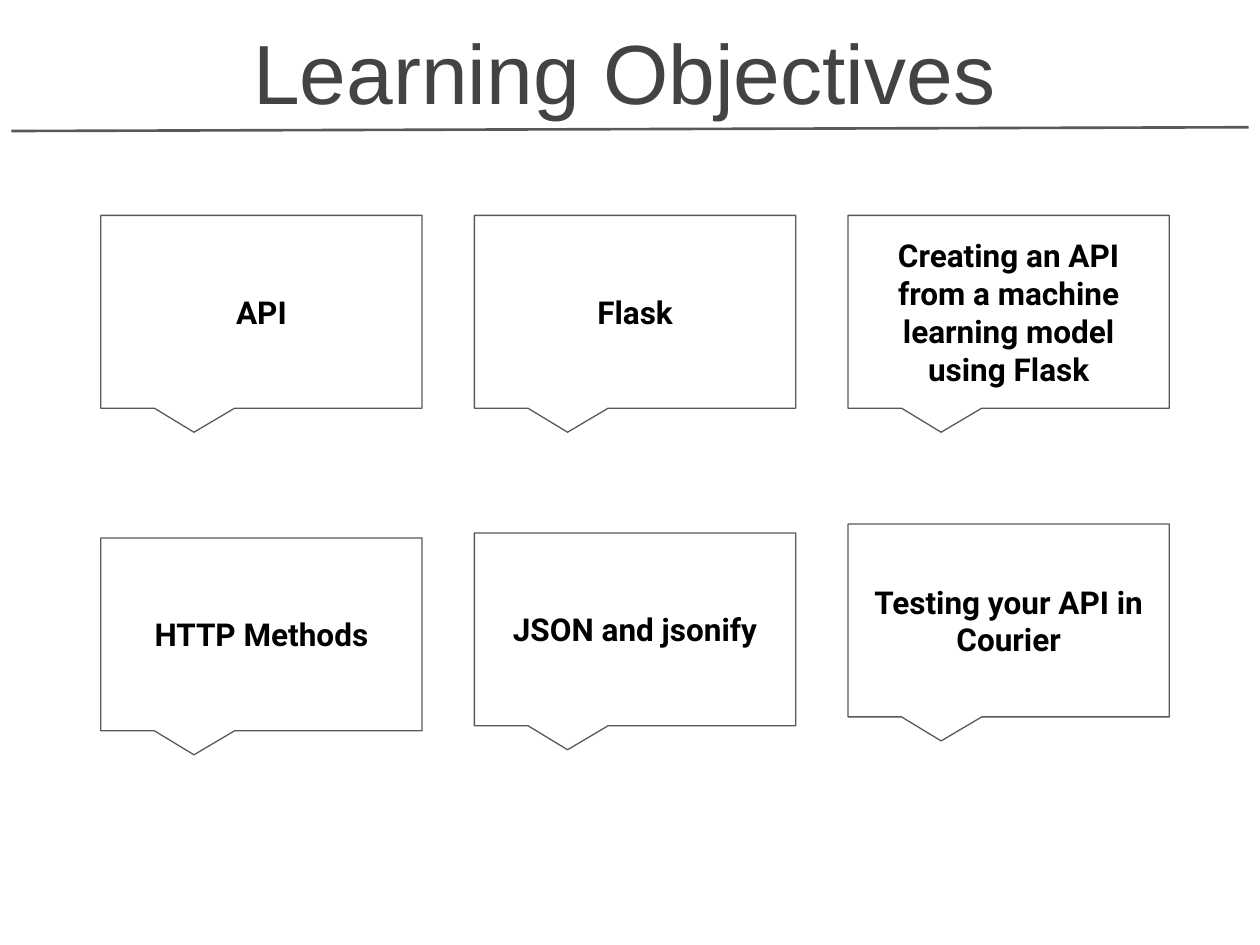
"""Build the Learning Objectives slide with six callouts."""
from lxml import etree
from pptx import Presentation
from pptx.dml.color import RGBColor
from pptx.enum.shapes import MSO_CONNECTOR, MSO_SHAPE
from pptx.enum.text import MSO_ANCHOR, MSO_AUTO_SIZE, PP_ALIGN
from pptx.oxml.ns import qn
from pptx.util import Inches, Pt

TITLE_GRAY = RGBColor(0x43, 0x43, 0x43)
LINE_GRAY = RGBColor(0x59, 0x59, 0x59)
BLACK = RGBColor(0, 0, 0)

LEFT, COLUMN_STEP = 0.8, 2.965
TOP_ROW = 1.71
OBJECTIVES = [
    (0, TOP_ROW, "API"),
    (1, TOP_ROW, "Flask"),
    (2, TOP_ROW, "Creating an API from a machine learning model using Flask"),
    (0, 4.27, "HTTP Methods"),
    (1, 4.23, "JSON and jsonify"),
    (2, 4.16, "Testing your API in Courier"),
]


def set_text(shape, text, anchor, font_name, size, color, bold):
    frame = shape.text_frame
    frame.text = text
    frame.word_wrap = True
    frame.auto_size = MSO_AUTO_SIZE.NONE
    frame.vertical_anchor = anchor
    frame.margin_left = frame.margin_right = Inches(0.11)
    frame.margin_top = frame.margin_bottom = Inches(0.1)
    paragraph = frame.paragraphs[0]
    paragraph.alignment = PP_ALIGN.CENTER
    font = paragraph.runs[0].font
    font.name = font_name
    font.size = Pt(size)
    font.bold = bold
    font.color.rgb = color


presentation = Presentation()
presentation.slide_width = Inches(10)
presentation.slide_height = Inches(7.5)
slide = presentation.slides.add_slide(presentation.slide_layouts[5])

title = slide.shapes.title
title.left, title.top = Inches(1.3), Inches(0.18)
title.width, title.height = Inches(7.31), Inches(0.88)
set_text(title, "Learning Objectives", MSO_ANCHOR.BOTTOM, "Arial", 48, TITLE_GRAY, False)

rule = slide.shapes.add_connector(
    MSO_CONNECTOR.STRAIGHT, Inches(0.09), Inches(1.04), Inches(9.91), Inches(1.01))
rule.line.color.rgb = LINE_GRAY
rule.line.width = Pt(1.5)
etree.SubElement(rule._element.spPr, qn("a:effectLst"))

for column, top, text in OBJECTIVES:
    callout = slide.shapes.add_shape(
        MSO_SHAPE.ROUNDED_RECTANGULAR_CALLOUT,
        Inches(LEFT + column * COLUMN_STEP), Inches(top), Inches(2.55), Inches(1.53))
    callout.adjustments[0] = -0.21
    callout.adjustments[1] = 0.625
    callout.adjustments[2] = 0
    callout.shadow.inherit = False
    callout.fill.background()
    callout.line.color.rgb = LINE_GRAY
    callout.line.width = Pt(0.75)
    set_text(callout, text, MSO_ANCHOR.MIDDLE, "Roboto", 18, BLACK, True)

presentation.save("out.pptx")
